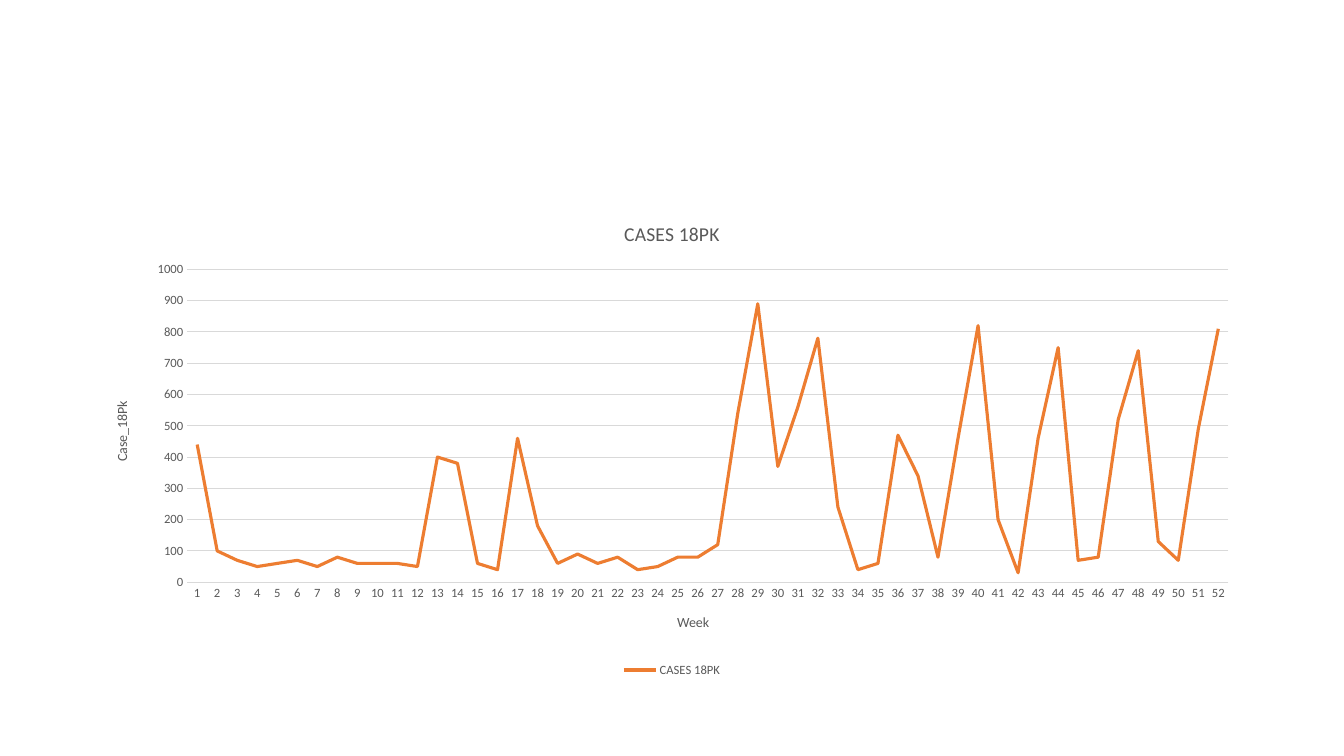
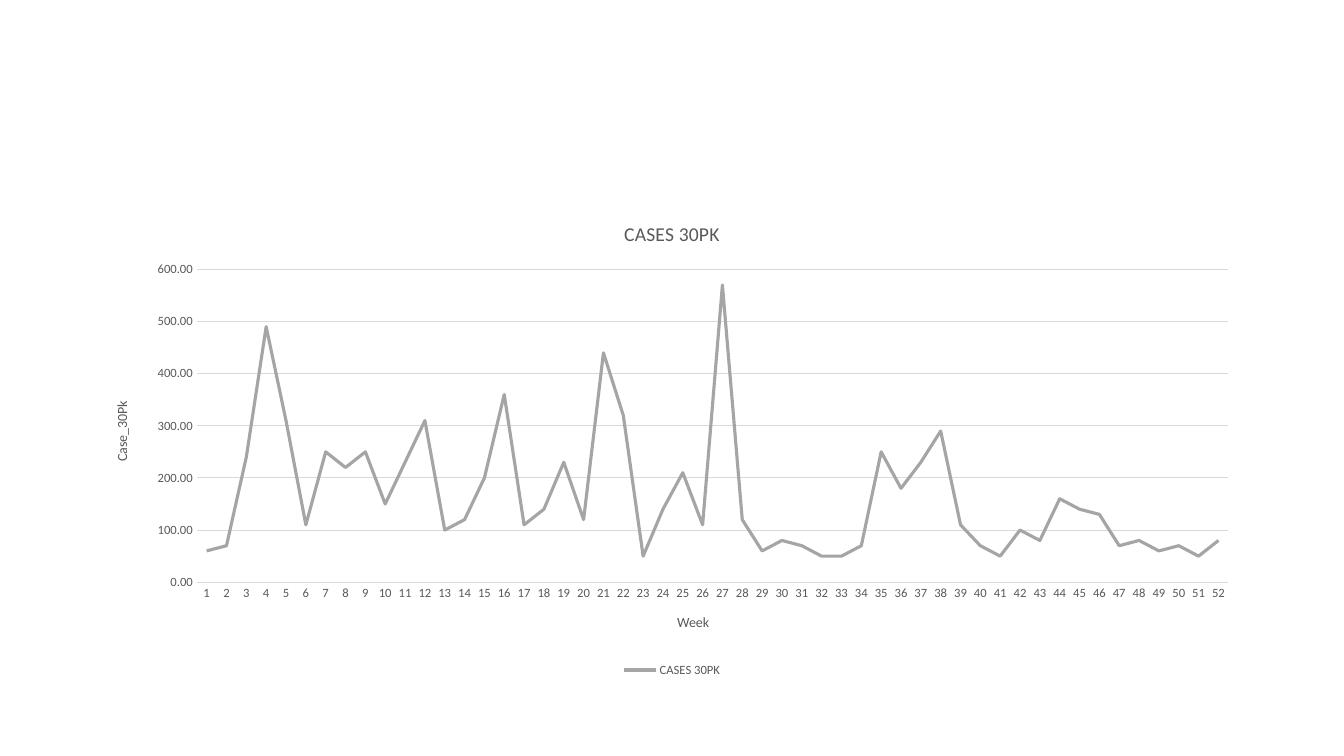
from pptx import Presentation
from pptx import util as u
from pptx.chart import data as chart_data
from pptx.dml import color
from pptx.enum import chart as chart_enum

ORANGE = color.RGBColor(0xED, 0x7D, 0x31)
GRAY = color.RGBColor(0xA5, 0xA5, 0xA5)
TEXT_GRAY = color.RGBColor(0x59, 0x59, 0x59)
GRID_GRAY = color.RGBColor(0xD9, 0xD9, 0xD9)

SLIDE_SIZE = u.Pt(960), u.Pt(540)
CHART_BOX = u.Pt(66), u.Pt(144), u.Pt(828), u.Pt(342.7)

TITLE_FONT = {"name": "Calibri", "size": u.Pt(14), "bold": False}
AXIS_TITLE_FONT = TITLE_FONT | {"size": u.Pt(10)}
LABEL_FONT = TITLE_FONT | {"size": u.Pt(9)}

CASES_18PK = [
    440, 100, 70, 50, 60, 70, 50, 80, 60, 60, 60, 50, 400,
    380, 60, 40, 460, 180, 60, 90, 60, 80, 40, 50, 80, 80,
    120, 540, 890, 370, 560, 780, 240, 40, 60, 470, 340, 80, 460,
    820, 200, 30, 460, 750, 70, 80, 520, 740, 130, 70, 490, 810,
]
CASES_30PK = [
    60, 70, 240, 490, 310, 110, 250, 220, 250, 150, 230, 310, 100,
    120, 200, 360, 110, 140, 230, 120, 440, 320, 50, 140, 210, 110,
    570, 120, 60, 80, 70, 50, 50, 70, 250, 180, 230, 290, 110,
    70, 50, 100, 80, 160, 140, 130, 70, 80, 60, 70, 50, 80,
]


def set_attributes(target, values):
    for name, value in values.items():
        setattr(target, name, value)


def style_font(font, values):
    set_attributes(font, values)
    font.color.rgb = TEXT_GRAY


def style_line(line, line_color, width):
    line.color.rgb = line_color
    line.width = u.Pt(width)


def write_title(owner, title, font_values):
    frame = owner.text_frame
    frame.text = title
    style_font(frame.paragraphs[0].runs[0].font, font_values)


def style_axis(axis, title, values):
    set_attributes(axis, {
        "major_tick_mark": chart_enum.XL_TICK_MARK.NONE,
        "minor_tick_mark": chart_enum.XL_TICK_MARK.NONE,
    } | values)
    style_font(axis.tick_labels.font, LABEL_FONT)
    write_title(axis.axis_title, title, AXIS_TITLE_FONT)


def style_legend(chart):
    chart.has_legend = True
    set_attributes(chart.legend, {
        "position": chart_enum.XL_LEGEND_POSITION.BOTTOM,
        "include_in_layout": False,
    })
    style_font(chart.legend.font, LABEL_FONT)


def add_line_chart(slide, name, value_title, values, line_color, maximum, number_format):
    weeks = chart_data.CategoryChartData(number_format=number_format)
    weeks.categories = [str(week) for week in range(1, len(values) + 1)]
    weeks.add_series(name, values)
    chart = slide.shapes.add_chart(
        chart_enum.XL_CHART_TYPE.LINE, *CHART_BOX, weeks).chart
    set_attributes(chart.font, {"name": "Calibri", "size": u.Pt(10)})
    write_title(chart.chart_title, name, TITLE_FONT)
    chart.chart_title.include_in_layout = False
    style_legend(chart)

    style_axis(chart.category_axis, "Week", {"has_major_gridlines": False})
    style_line(chart.category_axis.format.line, GRID_GRAY, 0.75)

    value_axis = chart.value_axis
    style_axis(value_axis, value_title, {
        "has_major_gridlines": True,
        "minimum_scale": 0,
        "maximum_scale": maximum,
        "major_unit": 100,
    })
    set_attributes(value_axis.tick_labels, {
        "number_format": number_format,
        "number_format_is_linked": False,
    })
    value_axis.format.line.fill.background()
    style_line(value_axis.major_gridlines.format.line, GRID_GRAY, 0.75)

    plot = chart.plots[0]
    plot.vary_by_categories = False
    series = plot.series[0]
    series.smooth = False
    series.marker.style = chart_enum.XL_MARKER_STYLE.NONE
    style_line(series.format.line, line_color, 2.25)


def main():
    presentation = Presentation()
    presentation.slide_width, presentation.slide_height = SLIDE_SIZE
    for chart_values in (
        ("CASES 18PK", "Case_18Pk", CASES_18PK, ORANGE, 1000, "General"),
        ("CASES 30PK", "Case_30Pk", CASES_30PK, GRAY, 600, "0.00"),
    ):
        slide = presentation.slides.add_slide(presentation.slide_layouts[6])
        add_line_chart(slide, *chart_values)
    presentation.save("out.pptx")


main()
